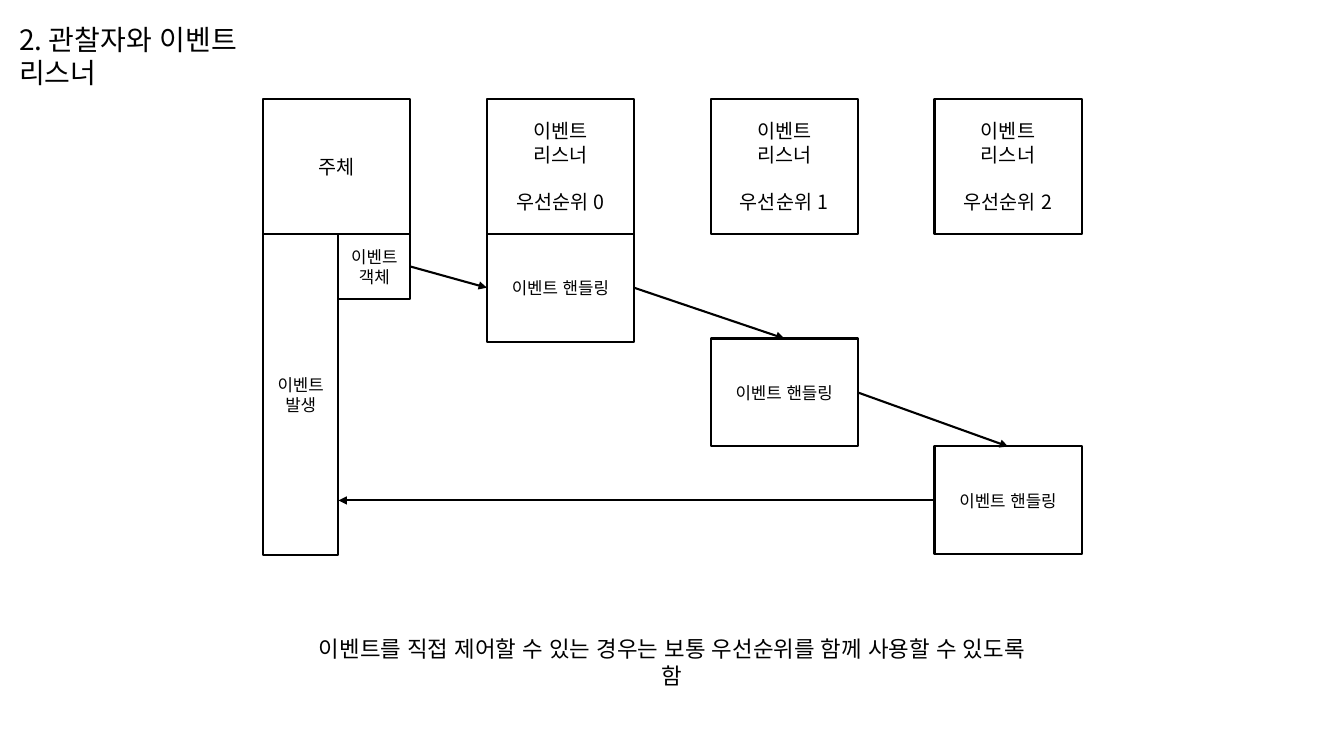
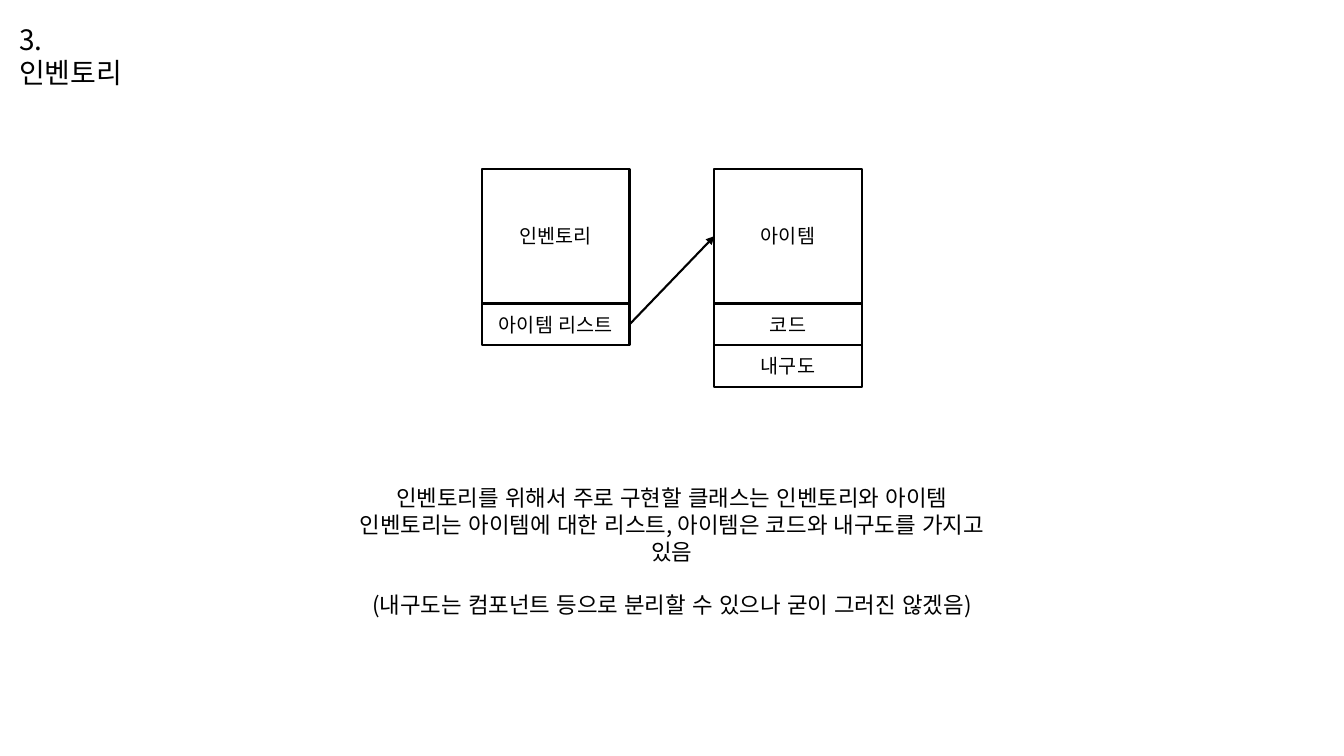
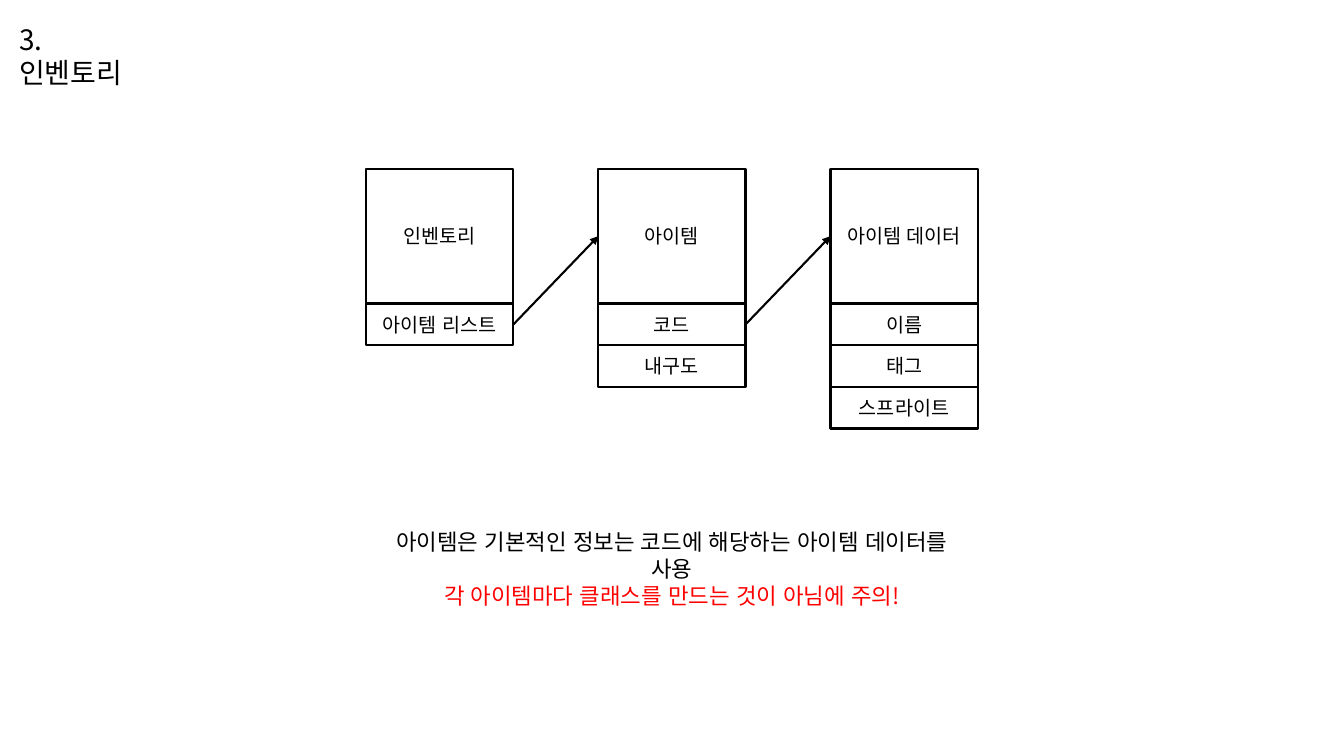
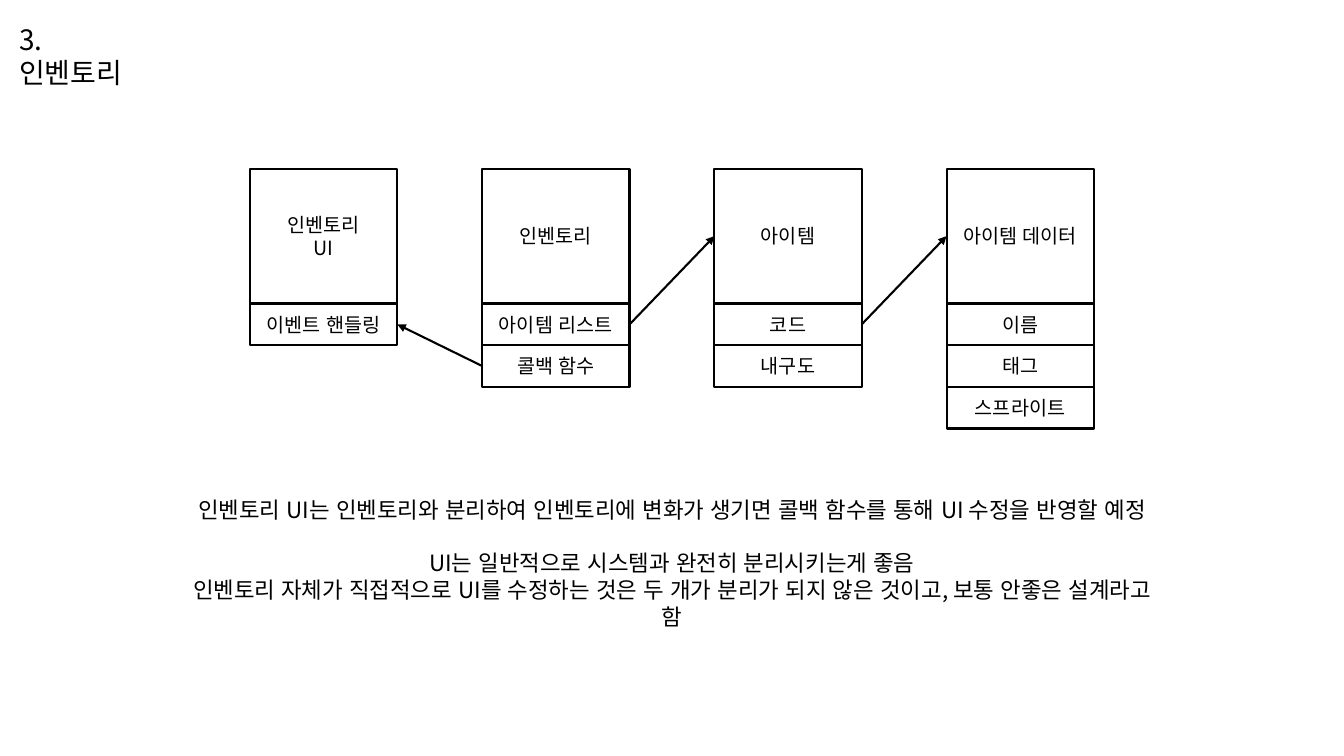
from pptx import Presentation
from pptx.dml.color import RGBColor
from pptx.enum.lang import MSO_LANGUAGE_ID
from pptx.enum.shapes import MSO_CONNECTOR, MSO_SHAPE
from pptx.enum.text import MSO_ANCHOR, PP_ALIGN
from pptx.oxml.ns import qn
from pptx.util import Cm, Pt
from lxml import etree

RECTANGLE = MSO_SHAPE.RECTANGLE
STRAIGHT = MSO_CONNECTOR.STRAIGHT
MIDDLE = MSO_ANCHOR.MIDDLE
LEFT, CENTER = PP_ALIGN.LEFT, PP_ALIGN.CENTER
KOREAN = MSO_LANGUAGE_ID.KOREAN
TOP_SIDE, LEFT_SIDE, RIGHT_SIDE = 0, 1, 3

COLORS = {"ink": "000000", "paper": "FFFFFF", "warning": "FF0000"}
FONT = "Noto Sans CJK KR"
SLIDE_WIDTH, SLIDE_HEIGHT = 33.87, 19.05
TITLE_SIZE, CAPTION_SIZE, CLASS_SIZE, STEP_SIZE = 20, 16, 14, 12
LINE_HEIGHT = 1.2
LINE_WIDTH = 1.5
BOX_WIDTH, HEAD_HEIGHT, MEMBER_HEIGHT = 3.71, 3.4, 1.05

INVENTORY_TITLE = "3. 인벤토리"
INVENTORY = ("인벤토리", "아이템 리스트")
INVENTORY_WITH_CALLBACK = INVENTORY + ("콜백 함수",)
INVENTORY_UI = ("인벤토리\nUI", "이벤트 핸들링")
ITEM = ("아이템", "코드", "내구도")
ITEM_DATA = ("아이템 데이터", "이름", "태그", "스프라이트")


def color(name):
    return RGBColor.from_string(COLORS[name])


def write(frame, text, size, align=CENTER, gap_before=None, warning=None):
    frame.word_wrap = True
    frame.text = text
    for index, paragraph in enumerate(frame.paragraphs):
        paragraph.alignment = align
        if index == gap_before:
            paragraph.space_before = Pt(size * LINE_HEIGHT)
        for run in paragraph.runs:
            run.font.size = Pt(size)
            run.font.name = FONT
            run.font.language_id = KOREAN
            run.font.color.rgb = color("warning" if index == warning else "ink")
            east_asian = etree.SubElement(run.font._element, qn("a:ea"))
            east_asian.set("typeface", FONT)


def add_title(slide, text, width):
    title = slide.shapes.add_textbox(Cm(0.23), Cm(0.43), Cm(width), Cm(1.11))
    write(title.text_frame, text, TITLE_SIZE, LEFT)


def add_caption(slide, text, top, width, height, **emphasis):
    left = (SLIDE_WIDTH - width) / 2
    caption = slide.shapes.add_textbox(Cm(left), Cm(top), Cm(width), Cm(height))
    write(caption.text_frame, text, CAPTION_SIZE, **emphasis)


def add_box(slide, text, left, top, width, height, size=CLASS_SIZE, **spacing):
    box = slide.shapes.add_shape(RECTANGLE, Cm(left), Cm(top), Cm(width), Cm(height))
    box.shadow.inherit = False
    box.fill.solid()
    box.fill.fore_color.rgb = color("paper")
    box.line.color.rgb = color("ink")
    box.line.width = Pt(LINE_WIDTH)
    box.text_frame.vertical_anchor = MIDDLE
    write(box.text_frame, text, size, **spacing)
    return box


def add_arrow(slide, source, source_side, target=None, target_side=None, end=(0, 0)):
    arrow = slide.shapes.add_connector(STRAIGHT, 0, 0, *end)
    arrow.begin_connect(source, source_side)
    if target is not None:
        arrow.end_connect(target, target_side)
    arrow.line.color.rgb = color("ink")
    arrow.line.width = Pt(LINE_WIDTH)
    head = etree.SubElement(arrow.line._get_or_add_ln(), qn("a:tailEnd"))
    head.set("type", "triangle")
    etree.SubElement(arrow._element.spPr, qn("a:effectLst"))


def add_event_flow(slide, left, top):
    pitch, handler_height = 5.64, 2.72
    source_width, source_height = 1.9, 8.1
    lane_top = top + HEAD_HEIGHT

    add_box(slide, "주체", left, top, BOX_WIDTH, HEAD_HEIGHT)
    source = add_box(slide, "이벤트 발생", left, lane_top,
                     source_width, source_height, STEP_SIZE)
    event = add_box(slide, "이벤트 객체", left + source_width, lane_top,
                    BOX_WIDTH - source_width, 1.65, STEP_SIZE)

    handlers = []
    for priority, drop in enumerate((0, 2.64, 5.36)):
        column = left + pitch * (priority + 1)
        add_box(slide, f"이벤트\n리스너\n우선순위 {priority}", column, top,
                BOX_WIDTH, HEAD_HEIGHT, gap_before=2)
        handlers.append(add_box(slide, "이벤트 핸들링", column, lane_top + drop,
                                BOX_WIDTH, handler_height, STEP_SIZE))

    first, second, last = handlers
    add_arrow(slide, event, RIGHT_SIDE, first, LEFT_SIDE)
    add_arrow(slide, first, RIGHT_SIDE, second, TOP_SIDE)
    add_arrow(slide, second, RIGHT_SIDE, last, TOP_SIDE)
    add_arrow(slide, last, LEFT_SIDE,
              end=(source.left + source.width, last.top + last.height // 2))


def add_class(slide, names, left, top):
    head, *members = names
    boxes = [add_box(slide, head, left, top, BOX_WIDTH, HEAD_HEIGHT)]
    for row, member in enumerate(members):
        boxes.append(add_box(slide, member, left, top + HEAD_HEIGHT + row * MEMBER_HEIGHT,
                             BOX_WIDTH, MEMBER_HEIGHT))
    return boxes


def add_class_diagram(slide, classes, top=4.25):
    pitch = 5.85
    left = (SLIDE_WIDTH - pitch * (len(classes) - 1) - BOX_WIDTH) / 2
    columns = [add_class(slide, names, left + pitch * index, top)
               for index, names in enumerate(classes)]
    for names, owner, target in zip(classes, columns, columns[1:]):
        if names is INVENTORY_UI:
            add_arrow(slide, target[2], LEFT_SIDE, owner[1], RIGHT_SIDE)
        else:
            add_arrow(slide, owner[1], RIGHT_SIDE, target[0], LEFT_SIDE)


def add_slide(deck, title, title_width):
    slide = deck.slides.add_slide(deck.slide_layouts[6])
    add_title(slide, title, title_width)
    return slide


def add_observer_slide(deck):
    slide = add_slide(deck, "2. 관찰자와 이벤트 리스너", 8)
    add_event_flow(slide, 6.63, 2.49)
    add_caption(slide, "이벤트를 직접 제어할 수 있는 경우는 보통 우선순위를 함께 사용할 수 있도록 함",
                15.88, 18.6, 0.94)


def add_inventory_slide(deck, classes, caption, top, width, height, **emphasis):
    slide = add_slide(deck, INVENTORY_TITLE, 3.6)
    add_class_diagram(slide, classes)
    add_caption(slide, caption, top, width, height, **emphasis)


def main():
    deck = Presentation()
    deck.slide_width, deck.slide_height = Cm(SLIDE_WIDTH), Cm(SLIDE_HEIGHT)
    add_observer_slide(deck)
    add_inventory_slide(
        deck, (INVENTORY, ITEM),
        "인벤토리를 위해서 주로 구현할 클래스는 인벤토리와 아이템\n"
        "인벤토리는 아이템에 대한 리스트, 아이템은 코드와 내구도를 가지고 있음\n"
        "(내구도는 컴포넌트 등으로 분리할 수 있으나 굳이 그러진 않겠음)",
        12.07, 17.2, 3, gap_before=2)
    add_inventory_slide(
        deck, (INVENTORY, ITEM, ITEM_DATA),
        "아이템은 기본적인 정보는 코드에 해당하는 아이템 데이터를 사용\n"
        "각 아이템마다 클래스를 만드는 것이 아님에 주의!",
        13.18, 15.2, 1.63, warning=1)
    add_inventory_slide(
        deck, (INVENTORY_UI, INVENTORY_WITH_CALLBACK, ITEM, ITEM_DATA),
        "인벤토리 UI는 인벤토리와 분리하여 인벤토리에 변화가 생기면 "
        "콜백 함수를 통해 UI 수정을 반영할 예정\n"
        "UI는 일반적으로 시스템과 완전히 분리시키는게 좋음\n"
        "인벤토리 자체가 직접적으로 UI를 수정하는 것은 두 개가 분리가 되지 않은 것이고, "
        "보통 안좋은 설계라고 함",
        12.37, 25, 3, gap_before=1)
    deck.save("out.pptx")


if __name__ == "__main__":
    main()
